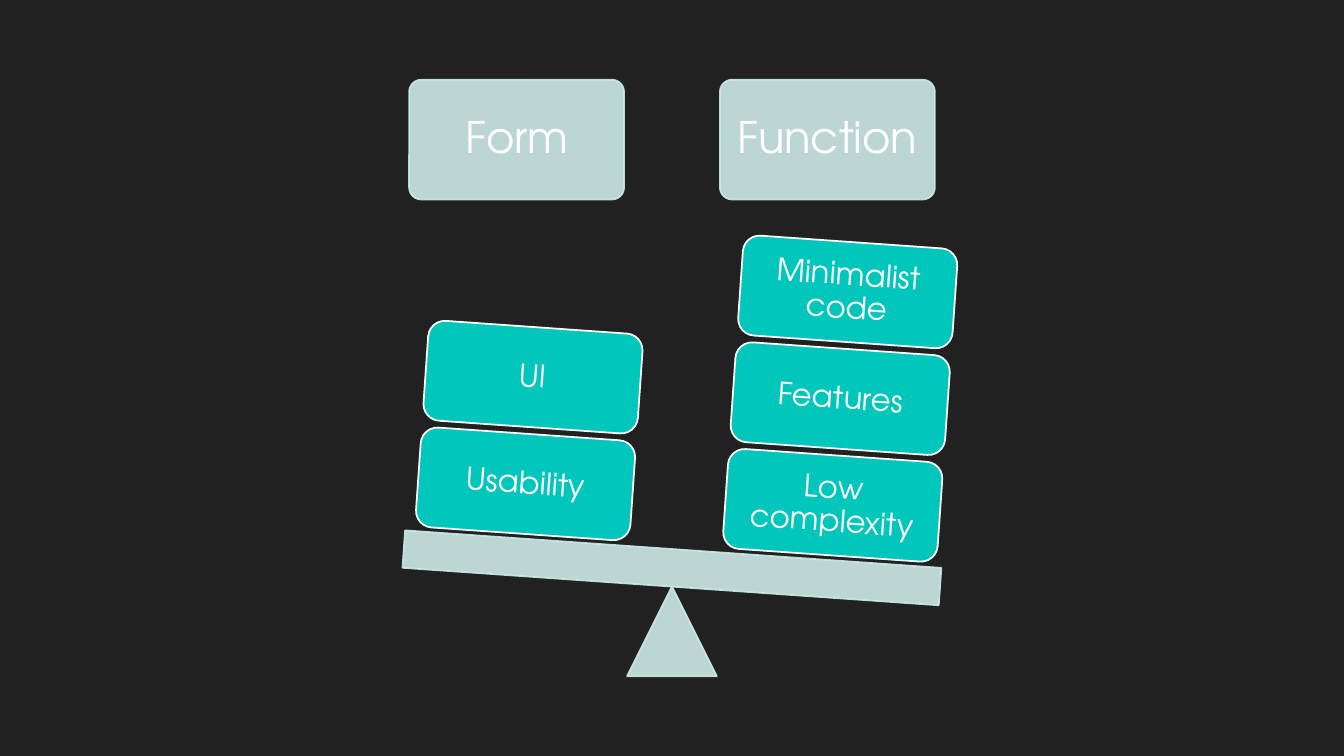
"""Builds a slide of a seesaw weighing form against function."""
import math

import lxml.etree
import pptx
import pptx.dml.color
import pptx.enum.shapes
import pptx.enum.text
import pptx.oxml.ns
import pptx.util

SHAPES = pptx.enum.shapes.MSO_SHAPE
FONT = "TeX Gyre Adventor"
PALE, TEAL, WHITE, DARK = "CCEAE7", "00C6BB", "FFFFFF", "212121"
TILT = 4
COLUMNS = [
    ("Form", ["Usability", "UI"]),
    ("Function", ["Low complexity", "Features", "Minimalist code"]),
]


def set_color(fill, color, opacity=100):
    """Give a fill a solid hex colour with an opacity in percent."""
    fill.solid()
    fill.fore_color.rgb = pptx.dml.color.RGBColor.from_string(color)
    if opacity < 100:
        solid = fill._xPr.find(pptx.oxml.ns.qn("a:solidFill"))
        alpha = lxml.etree.SubElement(solid[0], pptx.oxml.ns.qn("a:alpha"))
        alpha.set("val", str(opacity * 1000))


def add_block(slide, kind, box, fill, line, opacity=100, rotation=0):
    """Add a filled and outlined shape in a box of left, top, width and height."""
    shape = slide.shapes.add_shape(kind, *map(pptx.util.Pt, box))
    shape.shadow.inherit = False
    shape.rotation = rotation
    set_color(shape.fill, fill, opacity)
    shape.line.width = pptx.util.Pt(1.25)
    set_color(shape.line.fill, line, opacity)
    return shape


def write_text(shape, text, size, margin, color=WHITE):
    """Write centred text inside a shape."""
    frame = shape.text_frame
    frame.word_wrap = True
    frame.vertical_anchor = pptx.enum.text.MSO_ANCHOR.MIDDLE
    frame.margin_left = frame.margin_right = pptx.util.Pt(margin)
    frame.margin_top = frame.margin_bottom = pptx.util.Pt(margin)
    paragraph = frame.paragraphs[0]
    paragraph.alignment = pptx.enum.text.PP_ALIGN.CENTER
    paragraph.line_spacing = 0.9
    run = paragraph.add_run()
    run.text = text
    run.font.name = FONT
    run.font.size = pptx.util.Pt(size)
    set_color(run.font.fill, color)


def add_headings(slide, left, top, width, height):
    """Place one heading at each end of the box."""
    heading_width = 153.5
    step = (width - heading_width) / (len(COLUMNS) - 1)
    for index, (title, _) in enumerate(COLUMNS):
        box = (left + index * step, top, heading_width, height)
        heading = add_block(slide, SHAPES.ROUNDED_RECTANGLE, box, PALE, PALE, 90)
        heading.adjustments[0] = 0.1
        write_text(heading, title, size=31, margin=9.2)


def add_seesaw(slide, left, top, width, height):
    """Place the pivot, the tilted beam and the weights stacked on it."""
    pivot, beam_height = 64, 26.8
    center_x = left + width / 2
    pivot_top = top + height - pivot
    center_y = pivot_top - beam_height / 2
    add_block(slide, SHAPES.ISOSCELES_TRIANGLE,
              (center_x - pivot / 2, pivot_top, pivot, pivot), PALE, PALE, 90)
    add_block(slide, SHAPES.RECTANGLE,
              (left, center_y - beam_height / 2, width, beam_height),
              PALE, PALE, 90, TILT)

    weight_width, weight_height = 153.5, 71.5
    sine, cosine = math.sin(math.radians(TILT)), math.cos(math.radians(TILT))
    for along, (_, labels) in zip((-108.5, 111.5), COLUMNS):
        for level, label in enumerate(labels):
            rise = 52.5 + 76.4 * level
            x = center_x + along * cosine + rise * sine
            y = center_y + along * sine - rise * cosine
            box = (x - weight_width / 2, y - weight_height / 2,
                   weight_width, weight_height)
            weight = add_block(slide, SHAPES.ROUNDED_RECTANGLE, box, TEAL, WHITE,
                               rotation=TILT)
            write_text(weight, label, size=22, margin=6.6)


def main():
    """Build and save the presentation."""
    presentation = pptx.Presentation()
    presentation.slide_width = pptx.util.Pt(960)
    presentation.slide_height = pptx.util.Pt(540)
    slide = presentation.slides.add_slide(presentation.slide_layouts[6])
    set_color(slide.background.fill, DARK)
    add_headings(slide, left=292.25, top=57, width=375.5, height=85.5)
    add_seesaw(slide, left=288, top=168, width=384, height=315)
    presentation.save("out.pptx")


if __name__ == "__main__":
    main()
